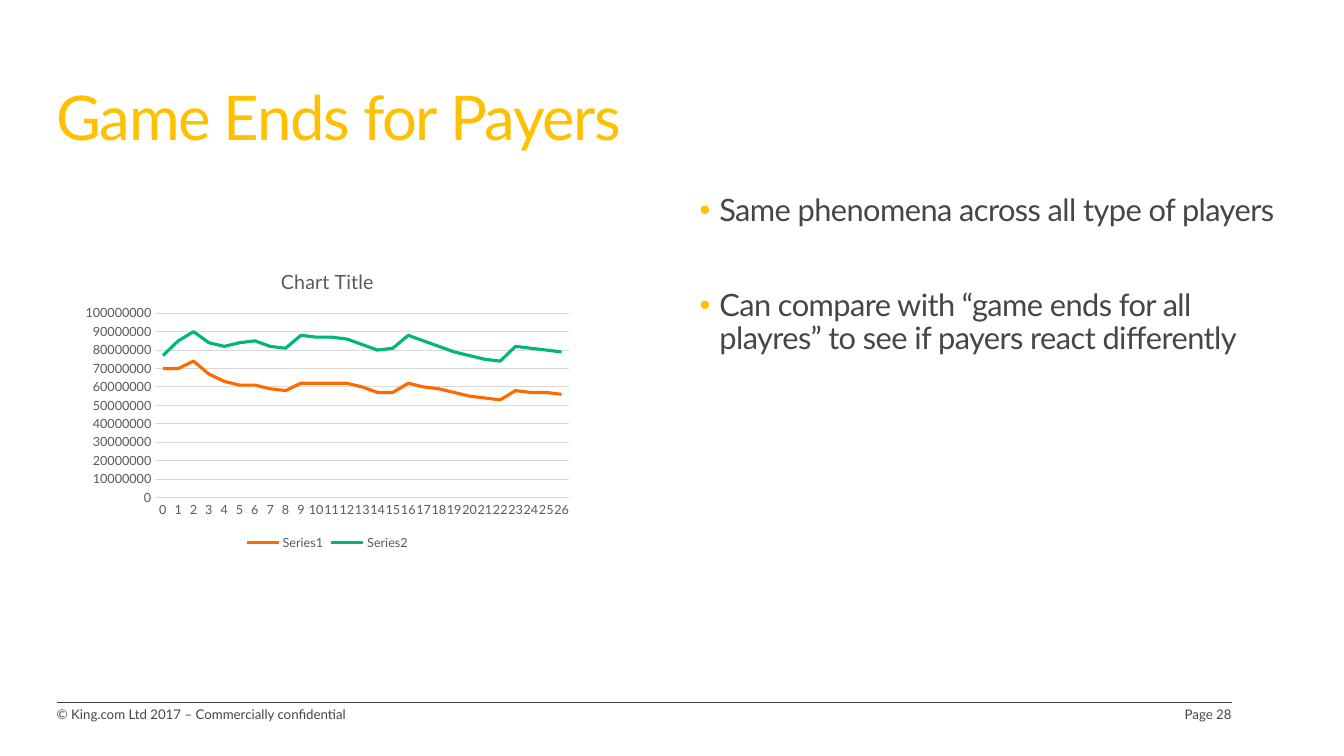
from pptx import Presentation
from pptx.chart.data import CategoryChartData as ChartData
from pptx.dml.color import RGBColor
from pptx.enum.chart import XL_CHART_TYPE as Kind, XL_LEGEND_POSITION as Place
from pptx.enum.chart import XL_MARKER_STYLE as Marker, XL_TICK_MARK as Tick
from pptx.enum.text import MSO_ANCHOR as Anchor, MSO_AUTO_SIZE as Fit, PP_ALIGN as Align
from pptx.oxml.ns import qn
from pptx.util import Cm, Pt
from lxml.etree import SubElement

FACE = "Lato"
GOLD = RGBColor(0xFF, 0xC0, 0x00)
INK = RGBColor(0x46, 0x46, 0x46)
RULE = RGBColor(0x40, 0x40, 0x40)
GREY = RGBColor(0x59, 0x59, 0x59)
GRID = RGBColor(0xD9, 0xD9, 0xD9)
ORANGE = RGBColor(0xFF, 0x6A, 0x00)
GREEN = RGBColor(0x00, 0xB6, 0x7D)

# Chart values, in millions
LINES = [
    ("Series1", ORANGE, [70, 70, 74, 67, 63, 61, 61, 59, 58, 62, 62, 62, 62, 60,
                         57, 57, 62, 60, 59, 57, 55, 54, 53, 58, 57, 57, 56]),
    ("Series2", GREEN, [77, 85, 90, 84, 82, 84, 85, 82, 81, 88, 87, 87, 86, 83,
                        80, 81, 88, 85, 82, 79, 77, 75, 74, 82, 81, 80, 79]),
]
POINTS = [
    "Same phenomena across all type of players",
    "Can compare with “game ends for all playres” to see if payers react differently",
]


def style(font, size, color):
    font.name, font.size, font.bold = FACE, Pt(size), False
    font.color.rgb = color


def add_run(para, text, size, color, track=0):
    run = para.add_run()
    run.text = text
    style(run.font, size, color)
    if track:
        run.font._element.set("spc", str(track))


def set_frame(shape, anchor=Anchor.TOP):
    frame = shape.text_frame
    frame.word_wrap, frame.auto_size = True, Fit.NONE
    frame.vertical_anchor = anchor
    frame.margin_left = frame.margin_right = 0
    frame.margin_top = frame.margin_bottom = 0
    return frame


def add_title(slide, text):
    title = slide.shapes.title
    title.left, title.top = Cm(1.42), Cm(1.32)
    title.width, title.height = Cm(31.3), Cm(3.5)
    para = set_frame(title, Anchor.MIDDLE).paragraphs[0]
    para.alignment, para.line_spacing = Align.LEFT, 0.85
    add_run(para, text, 44, GOLD, -100)


def add_list(slide, points):
    box = slide.shapes.add_textbox(Cm(17.63), Cm(4.91), Cm(15.09), Cm(11.91))
    frame = set_frame(box)
    for i, text in enumerate(points):
        para = frame.add_paragraph() if i else frame.paragraphs[0]
        para.line_spacing, para.space_before = 0.9, Pt(44 if i else 0)
        props = para._p.get_or_add_pPr()
        props.set("marL", str(Cm(0.5)))
        props.set("indent", str(-Cm(0.5)))
        tint = SubElement(props, qn("a:buClr"))
        SubElement(tint, qn("a:srgbClr")).set("val", str(GOLD))
        SubElement(props, qn("a:buFont")).set("typeface", "Arial")
        SubElement(props, qn("a:buChar")).set("char", "•")
        add_run(para, text, 22, INK, -40)


def add_chart(slide):
    data = ChartData()
    data.categories = [str(n) for n in range(27)]
    for name, _, vals in LINES:
        data.add_series(name, [n * 1_000_000 for n in vals])
    chart = slide.shapes.add_chart(
        Kind.LINE, Cm(1.9), Cm(6.35), Cm(12.7), Cm(7.62), data).chart
    style(chart.font, 10, GREY)

    # Title and legend
    chart.has_title = True
    add_run(chart.chart_title.text_frame.paragraphs[0], "Chart Title", 14, GREY)
    chart.chart_title.include_in_layout = False
    chart.has_legend = True
    chart.legend.position = Place.BOTTOM
    chart.legend.include_in_layout = False
    style(chart.legend.font, 9, GREY)

    # Axes
    base, scale = chart.category_axis, chart.value_axis
    for axis in (base, scale):
        axis.major_tick_mark = axis.minor_tick_mark = Tick.NONE
        style(axis.tick_labels.font, 9, GREY)
    scale.minimum_scale, scale.maximum_scale = 0, 100_000_000
    scale.major_unit = 10_000_000
    scale.format.line.fill.background()
    scale.has_major_gridlines = True
    for line in (base.format.line, scale.major_gridlines.format.line):
        line.color.rgb, line.width = GRID, Pt(0.75)

    # Series
    plot = chart.plots[0]
    plot.vary_by_categories = False
    for series, (_, color, _) in zip(plot.series, LINES):
        series.smooth = False
        series.marker.style = Marker.NONE
        series.format.line.color.rgb = color
        series.format.line.width = Pt(2.25)


def add_note(slide, text, left, width, align):
    box = slide.shapes.add_textbox(left, Cm(17.79), width, Cm(0.5))
    para = set_frame(box).paragraphs[0]
    para.alignment = align
    add_run(para, text, 9.5, INK)


def add_foot(slide):
    rule = slide.shapes.add_connector(1, Cm(1.43), Cm(17.7), Cm(31.04), Cm(17.7))
    rule.line.color.rgb, rule.line.width = RULE, Pt(0.5)
    SubElement(rule._element.spPr, qn("a:effectLst"))
    add_note(slide, "© King.com Ltd 2017 – Commercially confidential",
             Cm(1.43), Cm(10.8), Align.LEFT)
    add_note(slide, "Page 28", Cm(29.04), Cm(2), Align.RIGHT)


def main():
    deck = Presentation()
    deck.slide_width, deck.slide_height = Cm(33.87), Cm(19.05)
    slide = deck.slides.add_slide(deck.slide_layouts[5])
    add_title(slide, "Game Ends for Payers")
    add_chart(slide)
    add_list(slide, POINTS)
    add_foot(slide)
    deck.save("out.pptx")


if __name__ == "__main__":
    main()
